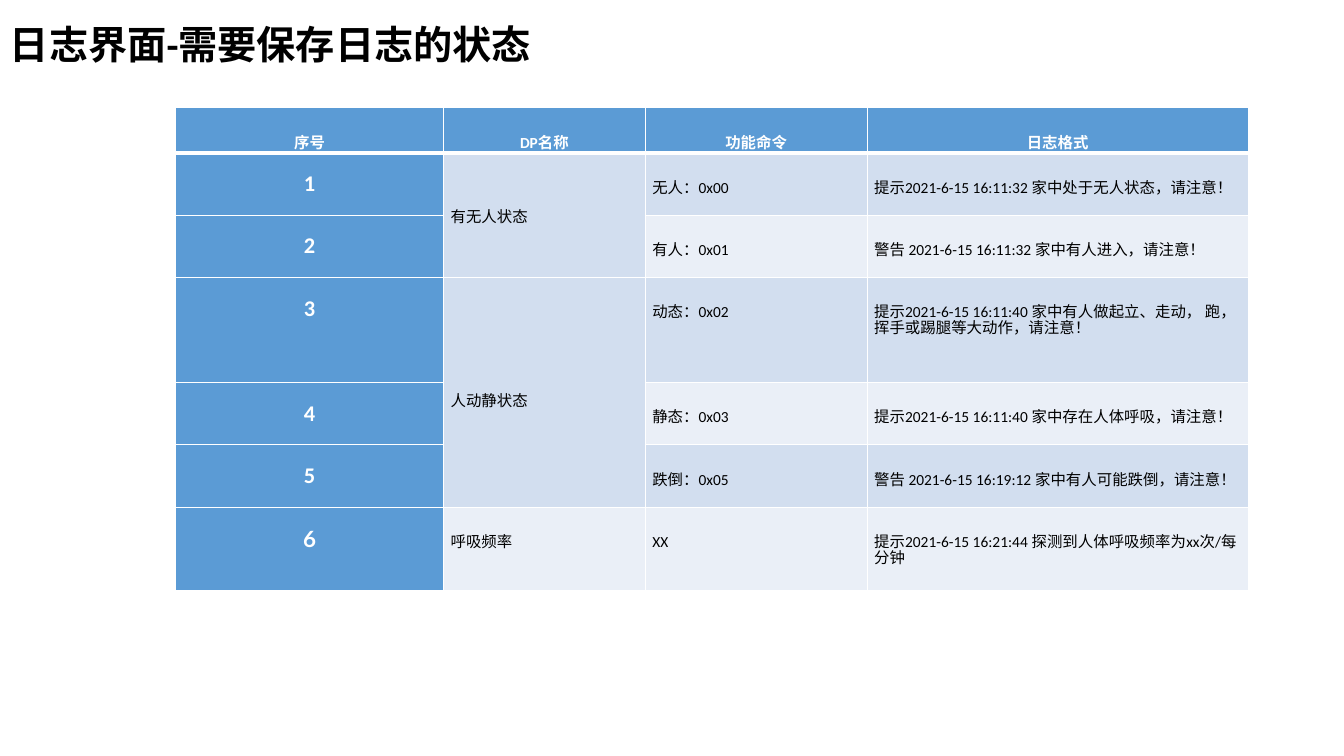
from lxml.etree import SubElement
from pptx import Presentation
from pptx.dml.color import RGBColor
from pptx.enum.text import MSO_AUTO_SIZE, PP_ALIGN
from pptx.oxml.ns import qn
from pptx.util import Inches, Pt

COLORS = {"head": "5B9BD5", "odd": "D2DEEF", "even": "EAEFF7",
          "white": "FFFFFF", "black": "000000"}
COLS = [2.66, 2, 2.2, 3.78]
ROWS = [0.43, 0.62, 0.62, 1.04, 0.62, 0.62, 0.83]
LINE, GAP = 11, 10  # points: exact line height and paragraph gap

LOG_STATES = [
    ["序号", "DP名称", "功能命令", "日志格式"],
    ["1", "有无人状态", "无人：0x00", "提示2021-6-15 16:11:32 家中处于无人状态，请注意！"],
    ["2", "", "有人：0x01", "警告 2021-6-15 16:11:32 家中有人进入，请注意！"],
    ["3", "人动静状态", "动态：0x02",
     "提示2021-6-15 16:11:40 家中有人做起立、走动， 跑，挥手或踢腿等大动作，请注意！"],
    ["4", "", "静态：0x03", "提示2021-6-15 16:11:40 家中存在人体呼吸，请注意！"],
    ["5", "", "跌倒：0x05", "警告 2021-6-15 16:19:12 家中有人可能跌倒，请注意！"],
    ["6", "呼吸频率", "XX", "提示2021-6-15 16:21:44 探测到人体呼吸频率为xx次/每分钟"],
]
# first row: (rows covered, lines the name sits below the cell top)
DP_SPANS = {1: (2, 2), 3: (3, 4)}


def set_font(p, size, color, bold, name="Calibri"):
    f = p.font
    f.name, f.size, f.bold = name, Pt(size), bold
    f.color.rgb = RGBColor.from_string(COLORS[color])


def add_title(s, text):
    tb = s.shapes.add_textbox(0, Inches(0.15), Inches(5.75), Inches(0.57))
    tf = tb.text_frame
    tf.word_wrap = True
    tf.auto_size = MSO_AUTO_SIZE.SHAPE_TO_FIT_TEXT
    p = tf.paragraphs[0]
    p.text, p.alignment = text, PP_ALIGN.JUSTIFY
    set_font(p, 28, "black", True)


def set_borders(cell, top=1, bottom=1):
    tcPr = cell._tc.get_or_add_tcPr()
    for side, width in zip("LRTB", (1, 1, top, bottom)):
        ln = SubElement(tcPr, qn(f"a:ln{side}"), w=str(Pt(width)))
        fill = SubElement(ln, qn("a:solidFill"))
        SubElement(fill, qn("a:srgbClr"), val=COLORS["white"])


def fill_cell(cell, color):
    cell.fill.solid()
    cell.fill.fore_color.rgb = RGBColor.from_string(COLORS[color])


def write_cell(cell, text, lines_above, heading):
    cell.margin_left = cell.margin_right = Inches(0.07)
    cell.margin_top, cell.margin_bottom = Pt(lines_above * (LINE + GAP)), 0
    p = cell.text_frame.paragraphs[0]
    p.text = text
    p.line_spacing, p.space_after = Pt(LINE), Pt(GAP)
    p.alignment = PP_ALIGN.CENTER if heading else PP_ALIGN.LEFT
    set_font(p, 16 if text.isdigit() else 11, "white" if heading else "black",
             heading, "Lato" if text == "6" else "Calibri")


def add_log_table(s):
    frame = s.shapes.add_table(len(ROWS), len(COLS), Inches(1.74), Inches(1.07),
                               Inches(sum(COLS)), Inches(sum(ROWS)))
    table = frame.table
    table.first_row = table.horz_banding = False
    for col, width in zip(table.columns, COLS):
        col.width = Inches(width)
    for row, height in zip(table.rows, ROWS):
        row.height = Inches(height)
    for top, (count, _) in DP_SPANS.items():
        table.cell(top, 1).merge(table.cell(top + count - 1, 1))
    for i, texts in enumerate(LOG_STATES):
        for j, text in enumerate(texts):
            cell = table.cell(i, j)
            heading = i == 0 or j == 0
            set_borders(cell, 3 if i == 1 else 1, 3 if i == 0 else 1)
            fill_cell(cell, "head" if heading else "odd" if i % 2 else "even")
            if not cell.is_spanned:
                lines_above = DP_SPANS[i][1] if cell.is_merge_origin else 1
                write_cell(cell, text, lines_above, heading)


def main():
    prs = Presentation()
    prs.slide_width, prs.slide_height = Inches(13.33), Inches(7.5)
    s = prs.slides.add_slide(prs.slide_layouts[6])
    add_title(s, "日志界面-需要保存日志的状态")
    add_log_table(s)
    prs.save("out.pptx")


if __name__ == "__main__":
    main()
